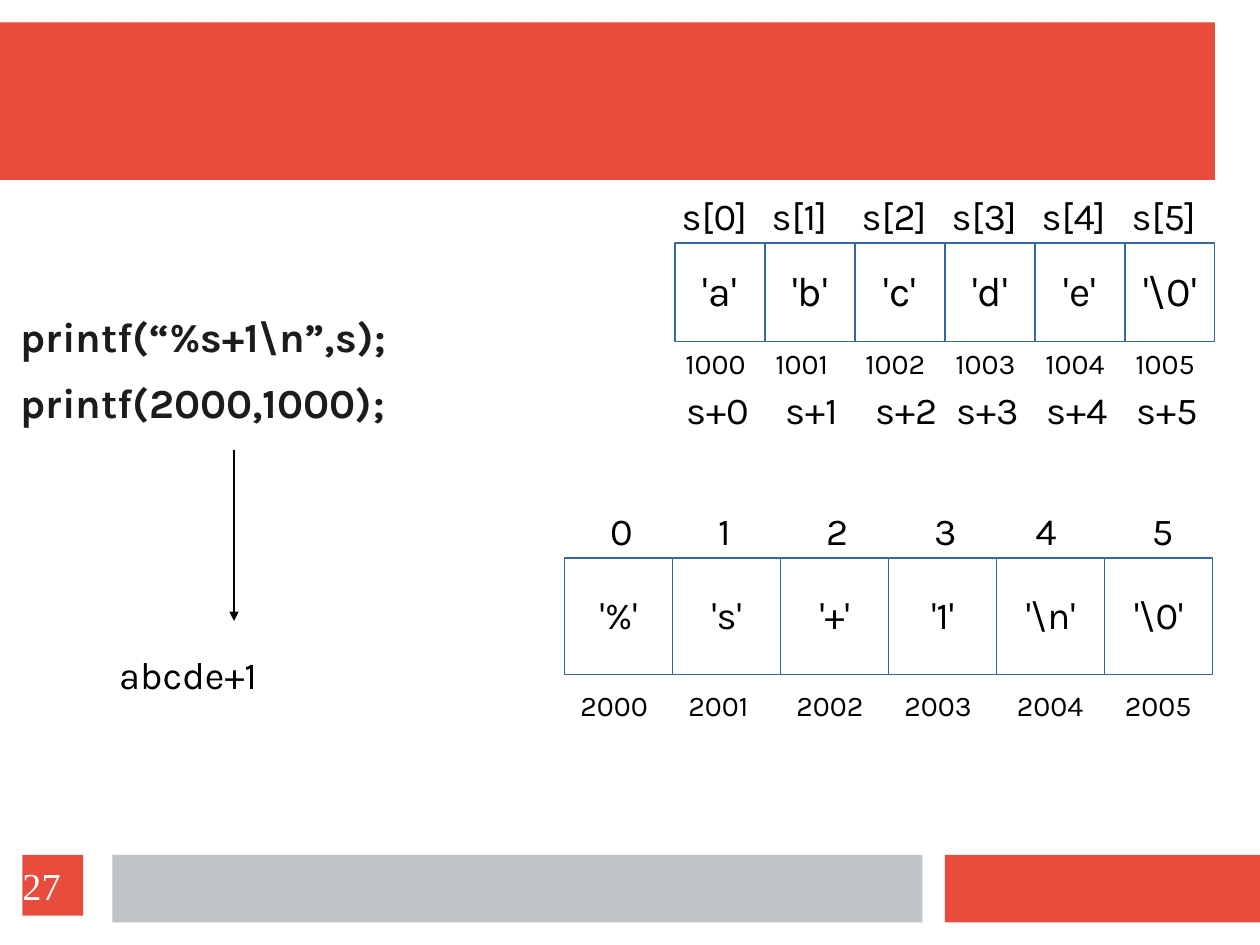
from pptx import Presentation
from pptx.dml.color import RGBColor
from pptx.enum.shapes import MSO_CONNECTOR as LINE, MSO_SHAPE as SHAPE
from pptx.enum.text import MSO_ANCHOR as ANCHOR, PP_ALIGN as ALIGN
from pptx.oxml.ns import qn
from pptx.util import Cm, Inches, Pt
from lxml.etree import SubElement

# Slide grid: 28 columns by 21 rows
WIDTH, HEIGHT = Cm(28), Cm(21)
COL, ROW = WIDTH / 28, HEIGHT / 21

RED, GREY, BLUE = "E74C3C", "BDC3C7", "3465A4"
WHITE, BLACK, INK = "FFFFFF", "000000", "1C1C1C"
PAD = (0.1, 0.05, 0.1, 0.05)


def rgb(value):
    return RGBColor.from_string(value)


def place(x, y, w, h):
    return [int(n) for n in (x * COL, y * ROW, w * COL, h * ROW)]


def write(sp, lines, size, color=BLACK, font="Karla", bold=False, pad=PAD,
          anchor=ANCHOR.TOP, align=ALIGN.LEFT, spacing=0.97, after=0):
    tf = sp.text_frame
    left, top, right, bottom = map(Inches, pad)
    frame = dict(word_wrap=True, vertical_anchor=anchor, margin_left=left,
                 margin_top=top, margin_right=right, margin_bottom=bottom)
    for name, value in frame.items():
        setattr(tf, name, value)
    for i, line in enumerate(lines):
        p = tf.paragraphs[0] if i == 0 else tf.add_paragraph()
        r = p.add_run()
        r.text = line
        layout = dict(alignment=align, line_spacing=spacing, space_after=Pt(after))
        for name, value in layout.items():
            setattr(p, name, value)
        for name, value in dict(name=font, size=Pt(size), bold=bold).items():
            setattr(r.font, name, value)
        r.font.color.rgb = rgb(color)


def rect(s, x, y, w, h, fill, line=None):
    sp = s.shapes.add_shape(SHAPE.RECTANGLE, *place(x, y, w, h))
    sp.shadow.inherit = False
    sp.fill.solid()
    sp.fill.fore_color.rgb = rgb(fill)
    if line:
        sp.line.color.rgb = rgb(line)
        sp.line.width = Pt(0.75)
    else:
        sp.line.fill.background()
    return sp


def label(s, x, y, w, h, lines, size, **style):
    write(s.shapes.add_textbox(*place(x, y, w, h)), lines, size, **style)


def arrow(s, x1, y1, x2, y2):
    c = s.shapes.add_connector(LINE.STRAIGHT, *place(x1, y1, x2, y2))
    c.line.color.rgb = rgb(BLACK)
    c.line.width = Pt(0.75)
    SubElement(c.line._get_or_add_ln(), qn("a:tailEnd"), type="triangle")
    SubElement(c._element.spPr, qn("a:effectLst"))


def cells(s, x, y, w, h, chars, size):
    for i, char in enumerate(chars):
        sp = rect(s, x + i * w, y, w, h, WHITE, BLUE)
        write(sp, [f"'{char}'"], size, anchor=ANCHOR.MIDDLE, align=ALIGN.CENTER)


def label_row(s, x, y, pitch, w, texts, size, nudges=None):
    for i, text in enumerate(texts):
        shift = (nudges or {}).get(i, 0)
        label(s, x + i * pitch + shift, y, w, 1.27, [text], size)


def main():
    prs = Presentation()
    prs.slide_width, prs.slide_height = WIDTH, HEIGHT
    s = prs.slides.add_slide(prs.slide_layouts[6])

    # Header and footer bands
    rect(s, 0, 0.5, 27, 3.5, RED)
    rect(s, 21, 19, 7, 1.5, RED)
    rect(s, 2.5, 19, 18, 1.5, GREY)

    # Statements and their output
    label(s, 0.46, 6.97, 12, 3, ["printf(“%s+1\\n”,s);", "printf(2000,1000);"], 26,
          color=INK, bold=True, pad=(0, 0, 0, 0), after=11.5)
    arrow(s, 5.2, 10, 5.2, 13.8)
    label(s, 2.4, 14.4, 4.35, 1.27, ["abcde+1"], 24)

    # Format string in memory
    cells(s, 12.55, 12.4, 2.4, 2.6, ["%", "s", "+", "1", "\\n", "\\0"], 24)
    label_row(s, 13.31, 11.2, 2.4, 1.05, [str(i) for i in range(6)], 24,
              {4: -0.15, 5: 0.04})
    label_row(s, 12.65, 15.2, 2.4, 2.5, [str(2000 + i) for i in range(6)], 18,
              {4: 0.1, 5: 0.1})

    # String s in memory
    cells(s, 15, 5.4, 2, 2.2, ["a", "b", "c", "d", "e", "\\0"], 26)
    label_row(s, 14.9, 4.2, 2, 2.13, [f"s[{i}]" for i in range(6)], 24)
    label_row(s, 14.98, 7.6, 2, 2.5, [str(1000 + i) for i in range(6)], 18)
    label_row(s, 15, 8.53, 2, 2.18, [f"s+{i}" for i in range(6)], 24,
              {1: 0.2, 2: 0.2})

    # Page number
    write(rect(s, 0.5, 19, 1.35, 1.35, RED), ["27"], 24, color=WHITE,
          font="Times New Roman", pad=(0, 0, 0, 0), anchor=ANCHOR.MIDDLE, spacing=1.0)

    prs.save("out.pptx")


if __name__ == "__main__":
    main()
